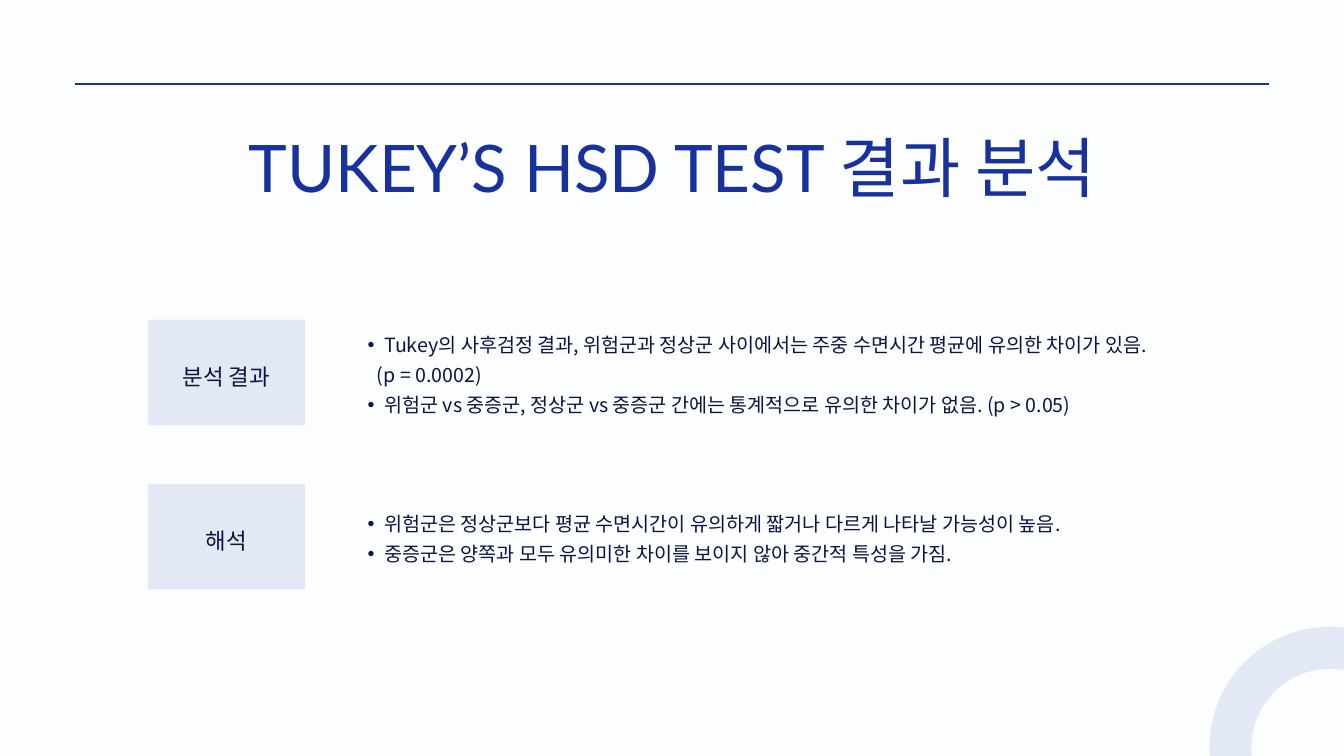
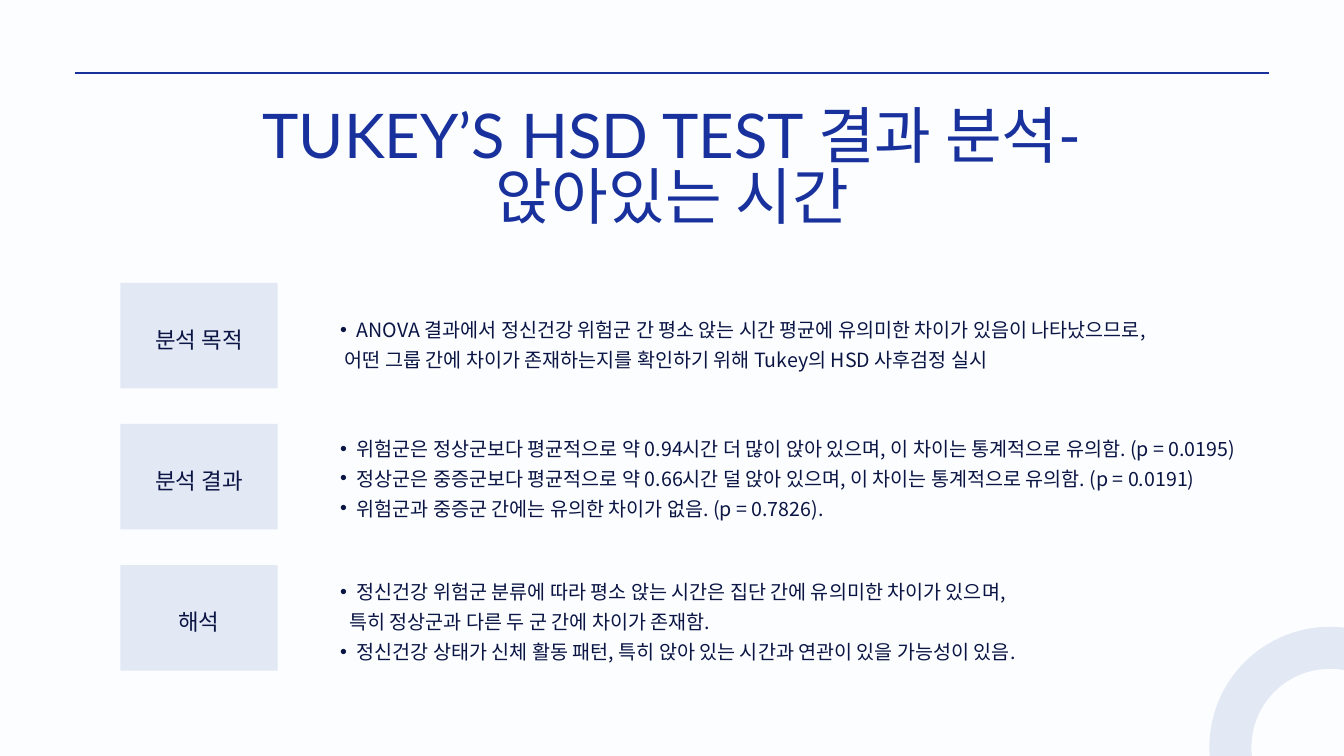
from dataclasses import dataclass

from lxml import etree
from pptx import Presentation
from pptx import util as u
from pptx.dml.color import RGBColor
from pptx.enum import shapes, text
from pptx.oxml import ns


@dataclass(frozen=True)
class Theme:
    paper: str = "FBFDFF"
    blue: str = "19319D"
    ink: str = "0B1544"
    tint_percent: int = 10
    title_font: str = "Lato"
    body_font: str = "Noto Sans CJK KR"
    label_size: float = 24
    label_leading: float = 36.7
    list_size: float = 21
    list_leading: float = 32.1
    rule_width: float = 2.25
    ring_width: float = 45


THEME = Theme()
COMPARISON_LAYOUT = 4

# CONTENT_START = None
ANALYSES = [
    {
        "title": ["TUKEY’S HSD TEST 결과 분석"],
        "title_area": (2.9, 2.11, 14.21, 1.19),
        "title_size": 70.2,
        "title_leading": 68.8,
        "rule_y": 1.25,
        "first_label": (2.2, 4.76),
        "row_pitch": 2.44,
        "rows": [
            ("분석 결과", 4.86, [
                "Tukey의 사후검정 결과, 위험군과 정상군 사이에서는 주중 수면시간 평균에 유의한 차이가 있음.",
                (0.38, "(p = 0.0002)"),
                "위험군 vs 중증군, 정상군 vs 중증군 간에는 통계적으로 유의한 차이가 없음. (p > 0.05)",
            ]),
            ("해석", 7.52, [
                "위험군은 정상군보다 평균 수면시간이 유의하게 짧거나 다르게 나타날 가능성이 높음.",
                "중증군은 양쪽과 모두 유의미한 차이를 보이지 않아 중간적 특성을 가짐.",
            ]),
        ],
    },
    {
        "title": ["TUKEY’S HSD TEST 결과 분석-", "앉아있는 시간"],
        "title_area": (3.32, 1.65, 13.36, 2.02),
        "title_size": 66,
        "title_leading": 64.7,
        "rule_y": 1.08,
        "first_label": (1.79, 4.21),
        "row_pitch": 2.1,
        "rows": [
            ("분석 목적", 4.64, [
                "ANOVA 결과에서 정신건강 위험군 간 평소 앉는 시간 평균에 유의미한 차이가 있음이 나타났으므로,",
                (0.31, "어떤 그룹 간에 차이가 존재하는지를 확인하기 위해 Tukey의 HSD 사후검정 실시"),
            ]),
            ("분석 결과", 6.4, [
                "위험군은 정상군보다 평균적으로 약 0.94시간 더 많이 앉아 있으며, 이 차이는 통계적으로 유의함. (p = 0.0195)",
                "정상군은 중증군보다 평균적으로 약 0.66시간 덜 앉아 있으며, 이 차이는 통계적으로 유의함. (p = 0.0191)",
                "위험군과 중증군 간에는 유의한 차이가 없음. (p = 0.7826).",
            ]),
            ("해석", 8.54, [
                "정신건강 위험군 분류에 따라 평소 앉는 시간은 집단 간에 유의미한 차이가 있으며,",
                (0.38, "특히 정상군과 다른 두 군 간에 차이가 존재함."),
                "정신건강 상태가 신체 활동 패턴, 특히 앉아 있는 시간과 연관이 있을 가능성이 있음.",
            ]),
        ],
    },
]

LABEL_WIDTH, LABEL_HEIGHT = 2.34, 1.57
LIST_OFFSET, LIST_WIDTH = 3.03, 14.9
BULLET_INDENT, BULLET_HANG = 0.49, 0.25
RULE_LEFT, RULE_RIGHT = 1.12, 18.88
RING_AREA = (18.31, 9.64, 2.96, 2.96)


def inches(*lengths):
    return [u.Inches(length) for length in lengths]


def tint(shape):
    for color in shape._element.spPr.iter(ns.qn("a:srgbClr")):
        etree.SubElement(color, ns.qn("a:alpha"), val=str(THEME.tint_percent * 1000))


def place(holder, area):
    holder.left, holder.top, holder.width, holder.height = inches(*area)


def prepare_frame(shape, anchor):
    frame = shape.text_frame
    frame.word_wrap = True
    frame.auto_size = text.MSO_AUTO_SIZE.NONE
    frame.vertical_anchor = anchor
    frame.margin_left = frame.margin_top = frame.margin_right = frame.margin_bottom = 0
    return frame


def style(paragraph, align, font_name, size, leading, color):
    paragraph.alignment = align
    paragraph.line_spacing = u.Pt(leading)
    paragraph.space_before = u.Pt(0)
    font = paragraph.font
    font.name, font.size, font.bold = font_name, u.Pt(size), False
    font.color.rgb = RGBColor.from_string(color)
    defaults = paragraph._p.pPr.find(ns.qn("a:defRPr"))
    etree.SubElement(defaults, ns.qn("a:ea"), typeface=THEME.body_font)


def set_bullet(paragraph, indent, hang):
    properties = paragraph._p.get_or_add_pPr()
    properties.set("marL", str(u.Inches(indent)))
    properties.set("indent", str(-u.Inches(hang)))
    if hang:
        etree.SubElement(properties, ns.qn("a:buChar"), char="•")
    else:
        etree.SubElement(properties, ns.qn("a:buNone"))


def add_ring(slide):
    ring = slide.shapes.add_shape(shapes.MSO_SHAPE.OVAL, *inches(*RING_AREA))
    ring.shadow.inherit = False
    ring.fill.background()
    ring.line.color.rgb = RGBColor.from_string(THEME.blue)
    ring.line.width = u.Pt(THEME.ring_width)
    tint(ring)


def add_rule(slide, y):
    rule = slide.shapes.add_connector(
        shapes.MSO_CONNECTOR.STRAIGHT, *inches(RULE_LEFT, y, RULE_RIGHT, y))
    rule.line.color.rgb = RGBColor.from_string(THEME.blue)
    rule.line.width = u.Pt(THEME.rule_width)
    etree.SubElement(rule._element.spPr, ns.qn("a:effectLst"))


def fill_title(slide, analysis):
    title = slide.shapes.title
    place(title, analysis["title_area"])
    frame = prepare_frame(title, text.MSO_ANCHOR.TOP)
    frame.text = "\n".join(analysis["title"])
    for paragraph in frame.paragraphs:
        style(paragraph, text.PP_ALIGN.CENTER, THEME.title_font,
              analysis["title_size"], analysis["title_leading"], THEME.blue)


def add_label(slide, wording, left, top):
    label = slide.shapes.add_shape(
        shapes.MSO_SHAPE.RECTANGLE, *inches(left, top, LABEL_WIDTH, LABEL_HEIGHT))
    label.shadow.inherit = False
    label.fill.solid()
    label.fill.fore_color.rgb = RGBColor.from_string(THEME.blue)
    label.line.fill.background()
    tint(label)
    frame = prepare_frame(label, text.MSO_ANCHOR.MIDDLE)
    frame.text = wording
    style(frame.paragraphs[0], text.PP_ALIGN.CENTER, THEME.body_font,
          THEME.label_size, THEME.label_leading, THEME.ink)


def fill_findings(holder, findings, left, top):
    place(holder, (left, top, LIST_WIDTH, len(findings) * THEME.list_leading / 72))
    frame = prepare_frame(holder, text.MSO_ANCHOR.TOP)
    for index, finding in enumerate(findings):
        paragraph = frame.paragraphs[0] if index == 0 else frame.add_paragraph()
        if isinstance(finding, tuple):
            indent, paragraph.text = finding
            set_bullet(paragraph, indent, 0)
        else:
            paragraph.text = finding
            set_bullet(paragraph, BULLET_INDENT, BULLET_HANG)
        style(paragraph, text.PP_ALIGN.JUSTIFY, THEME.body_font,
              THEME.list_size, THEME.list_leading, THEME.ink)


def add_analysis(deck, analysis):
    slide = deck.slides.add_slide(deck.slide_layouts[COMPARISON_LAYOUT])
    add_ring(slide)
    add_rule(slide, analysis["rule_y"])
    fill_title(slide, analysis)
    holders = list(slide.placeholders)[1:]
    left, first_top = analysis["first_label"]
    for index, (label, list_top, findings) in enumerate(analysis["rows"]):
        add_label(slide, label, left, first_top + index * analysis["row_pitch"])
        fill_findings(holders[index], findings, left + LIST_OFFSET, list_top)
    for spare in holders[len(analysis["rows"]):]:
        spare._element.getparent().remove(spare._element)


def main():
    deck = Presentation()
    deck.slide_width, deck.slide_height = inches(20, 11.25)
    backdrop = deck.slide_master.background.fill
    backdrop.solid()
    backdrop.fore_color.rgb = RGBColor.from_string(THEME.paper)
    for analysis in ANALYSES:
        add_analysis(deck, analysis)
    deck.save("out.pptx")


if __name__ == "__main__":
    main()
